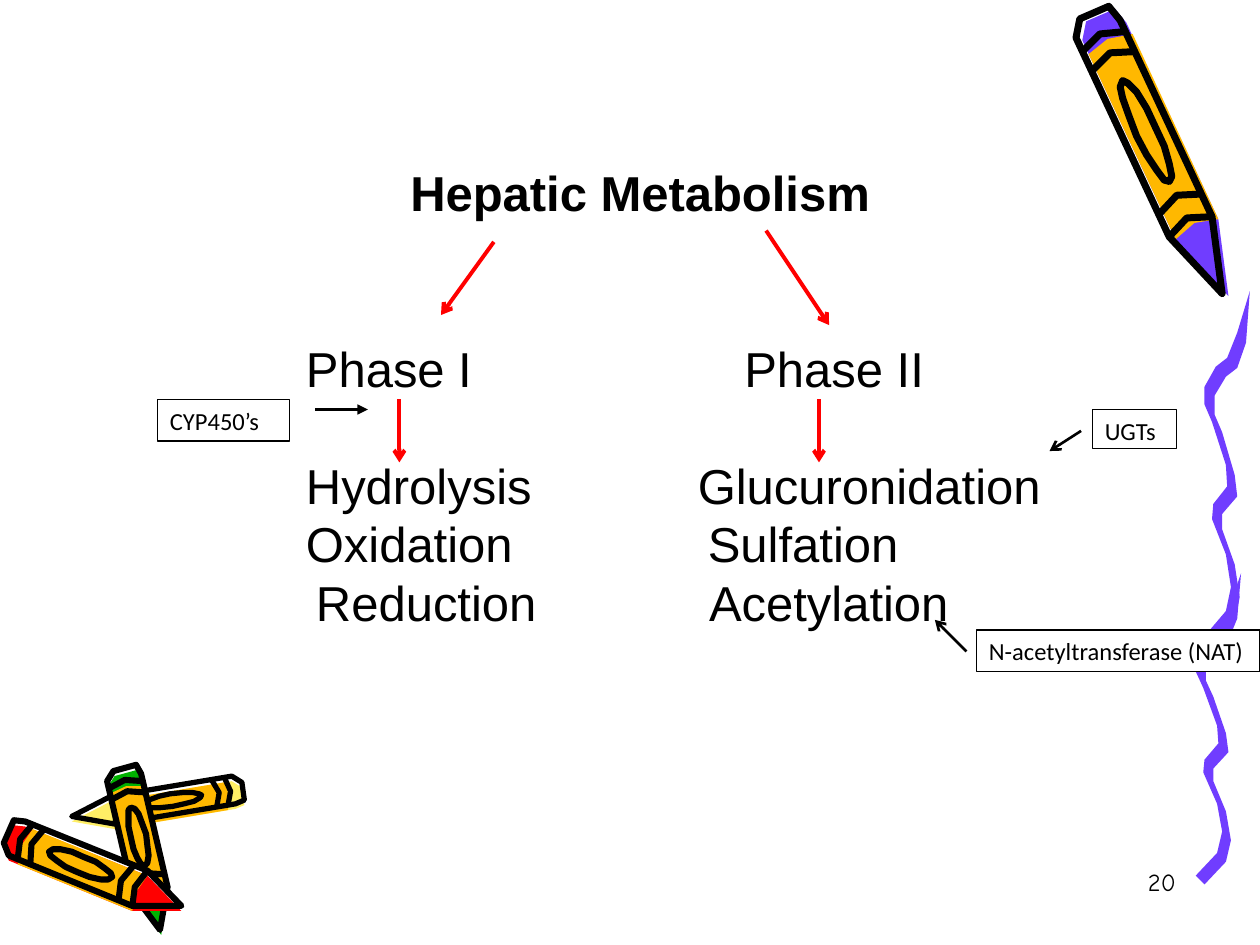
"""Build the Hepatic Metabolism slide with crayons drawn from one shared pattern."""
from math import cos, hypot, pi, sin

from lxml import etree
from pptx import Presentation
from pptx.dml.color import RGBColor
from pptx.enum.shapes import MSO_CONNECTOR, MSO_SHAPE
from pptx.enum.text import MSO_ANCHOR, PP_ALIGN
from pptx.oxml.ns import qn
from pptx.util import Inches, Pt

STRAIGHT = MSO_CONNECTOR.STRAIGHT
RECTANGLE = MSO_SHAPE.RECTANGLE
TOP, MIDDLE = MSO_ANCHOR.TOP, MSO_ANCHOR.MIDDLE
LEFT, CENTER, RIGHT = PP_ALIGN.LEFT, PP_ALIGN.CENTER, PP_ALIGN.RIGHT

COLORS = {
    "black": "000000", "white": "FFFFFF", "red": "FF0000", "purple": "703DFF",
    "orange": "FFB800", "yellow": "FFEF66", "green": "00B200",
}


def add_outline(shapes, points, fill=None, line_width=0, close=True):
    hundredths = [(round(x * 100), round(y * 100)) for x, y in points]
    builder = shapes.build_freeform(*hundredths[0], scale=Inches(0.01))
    builder.add_line_segments(hundredths[1:], close=close)
    sp = builder.convert_to_shape()
    sp.shadow.inherit = False
    if fill:
        sp.fill.solid()
        sp.fill.fore_color.rgb = RGBColor.from_string(COLORS[fill])
    else:
        sp.fill.background()
    if line_width:
        sp.line.color.rgb = RGBColor.from_string(COLORS["black"])
        sp.line.width = Pt(line_width)
    else:
        sp.line.fill.background()


def write(p, text, font, size, align=LEFT, bold=False):
    p.text = text
    p.alignment = align
    p.font.name = font
    p.font.size = Pt(size)
    p.font.bold = bold
    p.font.color.rgb = RGBColor.from_string(COLORS["black"])


prs = Presentation()
prs.slide_width, prs.slide_height = Inches(10), Inches(7.5)
s = prs.slides.add_slide(prs.slide_layouts[6])

# Crayon pattern: (share of length from cap to tip, share of width from the axis)
silhouette = [(0, -0.25), (0, 0.4), (0.06, 0.5), (0.76, 0.5), (1, 0), (0.76, -0.5), (0.05, -0.5)]
wrapper = [(0.1, -0.5), (0.08, 0), (0.1, 0.5), (0.76, 0.5), (0.74, 0), (0.76, -0.5)]
oval = [(0.42 + 0.18 * cos(k * pi / 8), 0.22 * sin(k * pi / 8)) for k in range(16)]
bands = [[(t, -0.5), (t - 0.03, 0), (t, 0.5)] for t in (0.1, 0.17, 0.68, 0.76)]

for cap, tip, width, accent, shift, pen in [
    ((8.66, 0.11), (9.7, 2.33), 0.38, "purple", (0.05, 0.02), 4),
    ((1.93, 6.26), (0.57, 6.48), 0.22, "yellow", (0, 0.04), 3),
    ((0.97, 6.1), (1.27, 7.38), 0.28, "green", (0.01, 0.04), 3.5),
    ((0.06, 6.62), (1.44, 7.19), 0.3, "red", (0, 0.04), 3.5),
]:
    dx, dy = tip[0] - cap[0], tip[1] - cap[1]
    across = width / hypot(dx, dy)
    crayon = s.shapes.add_group_shape().shapes
    layers = [(silhouette, "white", (0, 0), 0, True),
              (silhouette, accent, shift, 0, True),
              (wrapper, "orange", shift, 0, True),
              (silhouette, None, (0, 0), pen, True),
              (oval, None, (0, 0), pen, True)]
    layers += [(band, None, (0, 0), pen, False) for band in bands]
    for pattern, fill, (sx, sy), line_width, close in layers:
        points = [(cap[0] + t * dx + v * across * dy + sx,
                   cap[1] + t * dy - v * across * dx + sy) for t, v in pattern]
        add_outline(crayon, points, fill, line_width, close)

wave = [(0.83, 0.13), (0.61, 0.2), (0.36, 0.225), (0.11, 0.28), (0.11, 0.33),
        (0.28, 0.38), (0.56, 0.5), (0.61, 0.56), (0.3, 0.61), (0.28, 0.65),
        (0.58, 0.75), (0.67, 0.84), (0.58, 0.91), (0.1, 0.98)]
near_edge = [(u - 0.1, v - 0.014) for u, v in wave]
far_edge = [(u + 0.1, v + 0.014) for u, v in wave]
ribbon = [(1, 0)] + near_edge + far_edge[::-1]
for x, y, w, h in [(9.49, 4.55, 0.36, 2.48), (9.56, 2.31, 0.36, 2.84)]:
    add_outline(s.shapes, [(x + u * w, y + v * h) for u, v in ribbon], "purple")

tf = s.shapes.add_textbox(Inches(1.33), Inches(1.23), Inches(7.5), Inches(3.84)).text_frame
tf.word_wrap = True
tf.vertical_anchor = MIDDLE
line_height = 33.5
write(tf.paragraphs[0], "Hepatic Metabolism", "Arial", 28, CENTER, True)
tf.paragraphs[0].line_spacing = Pt(line_height)
for phase_1, phase_2, lines_before, stops in [
    ("Phase I", "Phase II", 2, (1, 4.48)),
    ("Hydrolysis", "Glucuronidation", 1, (1, 4.11)),
    ("Oxidation", "Sulfation", 0, (1, 4.19)),
    ("Reduction", "Acetylation", 0, (1.08, 4.2)),
]:
    p = tf.add_paragraph()
    p.line_spacing = Pt(line_height)
    p.space_before = Pt(line_height * lines_before)
    tabs = etree.SubElement(p._p.get_or_add_pPr(), qn("a:tabLst"))
    for stop in stops:
        etree.SubElement(tabs, qn("a:tab"), pos=str(Inches(stop)), algn="l")
    write(p, f"\t{phase_1}\t{phase_2}", "Arial", 28)

for enzyme, x, y, w, h in [
    ("CYP450’s", 1.25, 3.17, 1.05, 0.33),
    ("UGTs", 8.67, 3.25, 0.67, 0.31),
    ("N-acetyltransferase (NAT)", 7.75, 5, 2.25, 0.33),
]:
    sp = s.shapes.add_shape(RECTANGLE, Inches(x), Inches(y), Inches(w), Inches(h))
    sp.shadow.inherit = False
    sp.fill.solid()
    sp.fill.fore_color.rgb = RGBColor.from_string(COLORS["white"])
    sp.line.color.rgb = RGBColor.from_string(COLORS["black"])
    sp.line.width = Pt(0.75)
    sp.text_frame.vertical_anchor = TOP
    write(sp.text_frame.paragraphs[0], enzyme, "Calibri", 14)

for x1, y1, x2, y2, color, width, head in [
    (3.17, 3.17, 3.17, 3.67, "red", 2.25, "arrow"),
    (6.5, 3.17, 6.5, 3.67, "red", 2.25, "arrow"),
    (3.92, 1.92, 3.5, 2.5, "red", 2.25, "arrow"),
    (6.08, 1.83, 6.58, 2.58, "red", 2.25, "arrow"),
    (2.5, 3.25, 2.92, 3.25, "black", 1.5, "triangle"),
    (8.58, 3.42, 8.33, 3.58, "black", 1.5, "arrow"),
    (7.67, 5.17, 7.42, 4.92, "black", 1.5, "arrow"),
]:
    c = s.shapes.add_connector(STRAIGHT, Inches(x1), Inches(y1), Inches(x2), Inches(y2))
    c.line.color.rgb = RGBColor.from_string(COLORS[color])
    c.line.width = Pt(width)
    etree.SubElement(c.line._get_or_add_ln(), qn("a:tailEnd"), type=head)
    etree.SubElement(c._element.spPr, qn("a:effectLst"))

tf = s.shapes.add_textbox(Inches(7.35), Inches(6.83), Inches(2.08), Inches(0.5)).text_frame
tf.word_wrap = True
write(tf.paragraphs[0], "20", "Comic Neue", 14, RIGHT)

prs.save("out.pptx")
